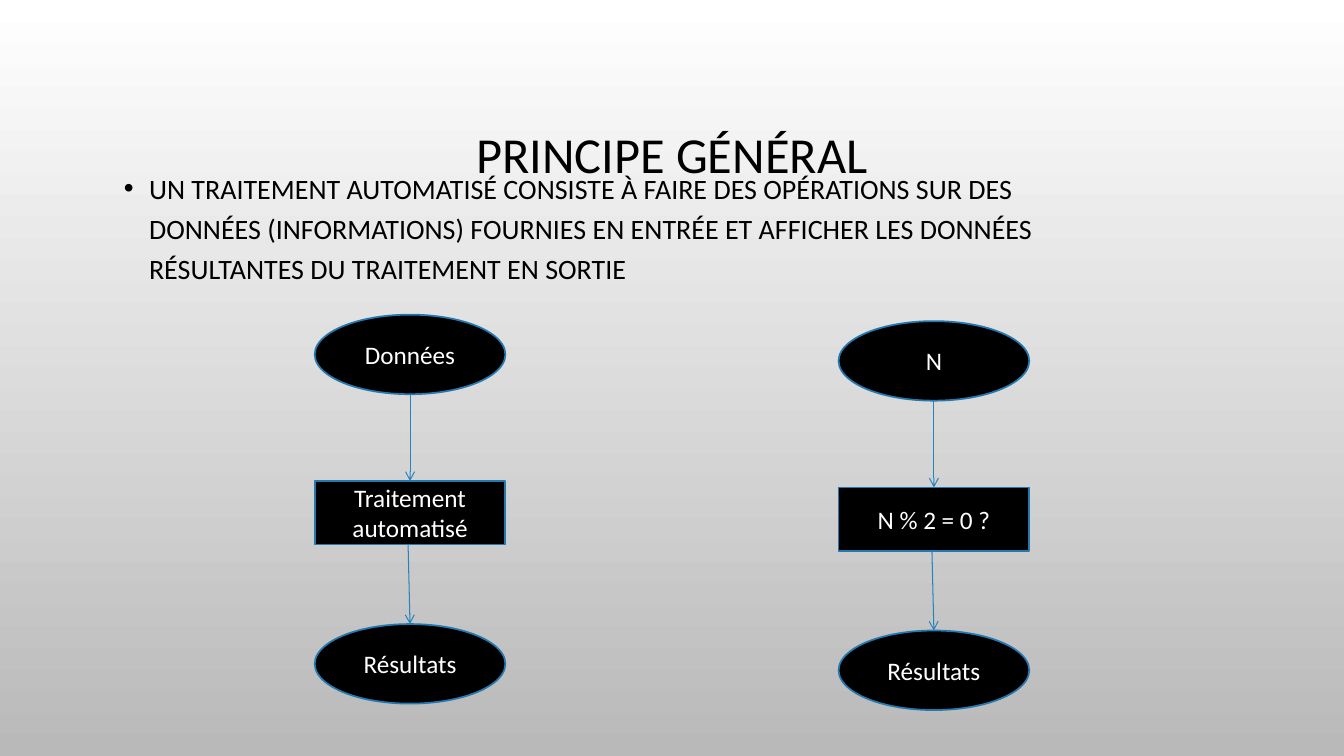
from dataclasses import dataclass

from lxml import etree
from pptx import Presentation
from pptx.dml.color import RGBColor
from pptx.enum.shapes import MSO_CONNECTOR, MSO_SHAPE
from pptx.enum.text import MSO_ANCHOR, PP_ALIGN
from pptx.oxml.ns import qn
from pptx.util import Pt

ELLIPSE, RECTANGLE = MSO_SHAPE.OVAL, MSO_SHAPE.RECTANGLE
STRAIGHT = MSO_CONNECTOR.STRAIGHT
MIDDLE, CENTER, LEFT = MSO_ANCHOR.MIDDLE, PP_ALIGN.CENTER, PP_ALIGN.LEFT
TOP_SITE = 0
TITLE_ONLY = 5

NODE_WIDTH = 136.2
OVAL_HEIGHT = 56.8
BOX_HEIGHT = 45.4
PROCESS_OFFSET = 118.8
RESULT_OFFSET = 221
OUTPUT_ARROW_SKEW = -1.4

PRINCIPLE = (
    "UN TRAITEMENT AUTOMATISÉ CONSISTE À FAIRE DES OPÉRATIONS SUR DES DONNÉES "
    "(INFORMATIONS) FOURNIES EN ENTRÉE ET AFFICHER LES DONNÉES RÉSULTANTES DU "
    "TRAITEMENT EN SORTIE"
)
FLOWS = [
    (224.8, 224.8, ("Données", "Traitement automatisé", "Résultats")),
    (599, 229.4, ("N", "N % 2 = 0 ?", "Résultats")),
]


@dataclass(frozen=True)
class Theme:
    """Colours, font and type sizes of the slide."""

    font: str = "Calibri"
    dark: RGBColor = RGBColor(0x00, 0x00, 0x00)
    light: RGBColor = RGBColor(0xFF, 0xFF, 0xFF)
    backdrop_end: RGBColor = RGBColor(0xB9, 0xB9, 0xB9)
    outline: RGBColor = RGBColor(0x23, 0x79, 0xB0)
    arrow: RGBColor = RGBColor(0x26, 0x83, 0xBF)
    title_size: int = 36
    body_size: int = 20
    node_size: int = 18


THEME = Theme()


def paint_background(slide):
    """Fill the slide with a gradient running from top to bottom."""
    fill = slide.background.fill
    fill.gradient()
    fill.gradient_angle = 270
    for stop, color in zip(fill.gradient_stops, (THEME.light, THEME.backdrop_end)):
        stop.color.rgb = color


def style_paragraph(paragraph, size, color, alignment):
    """Set the font and alignment of a paragraph."""
    paragraph.alignment = alignment
    paragraph.font.name = THEME.font
    paragraph.font.size = Pt(size)
    paragraph.font.color.rgb = color


def place_title(slide, text):
    """Position and format the title placeholder."""
    title = slide.shapes.title
    title.left, title.top, title.width, title.height = Pt(72), Pt(49), Pt(816), Pt(126)
    title.text_frame.text = text
    title.text_frame.vertical_anchor = MIDDLE
    heading = title.text_frame.paragraphs[0]
    heading.line_spacing = 0.9
    style_paragraph(heading, THEME.title_size, THEME.dark, CENTER)


def add_bullet(slide, text):
    """Add the bulleted statement below the title."""
    body = slide.shapes.add_textbox(Pt(81.4), Pt(113.8), Pt(723), Pt(409)).text_frame
    body.word_wrap = True
    statement = body.paragraphs[0]
    statement.text = text
    statement.line_spacing = 1.2
    statement.space_before = Pt(10)
    properties = statement._p.get_or_add_pPr()
    properties.set("marL", str(Pt(18)))
    properties.set("indent", str(-Pt(18)))
    etree.SubElement(properties, qn("a:buFont"), typeface="Arial")
    etree.SubElement(properties, qn("a:buChar"), char="•")
    style_paragraph(statement, THEME.body_size, THEME.dark, LEFT)


def add_node(slide, kind, left, top, height, label):
    """Add one labelled step of a flow."""
    node = slide.shapes.add_shape(kind, Pt(left), Pt(top), Pt(NODE_WIDTH), Pt(height))
    node.shadow.inherit = False
    node.fill.solid()
    node.fill.fore_color.rgb = THEME.dark
    node.line.color.rgb = THEME.outline
    node.line.width = Pt(1.25)
    node.text_frame.word_wrap = True
    node.text_frame.vertical_anchor = MIDDLE
    node.text_frame.text = label
    style_paragraph(node.text_frame.paragraphs[0], THEME.node_size, THEME.light, CENTER)
    return node


def add_arrow(slide, source, target, skew=0):
    """Add an arrow from the bottom of one step to the top of the next."""
    start_x = source.left + source.width // 2 + Pt(skew)
    start_y = source.top + source.height
    arrow = slide.shapes.add_connector(STRAIGHT, start_x, start_y, start_x, target.top)
    arrow.end_connect(target, TOP_SITE)
    arrow.line.color.rgb = THEME.arrow
    arrow.line.width = Pt(0.75)
    etree.SubElement(arrow.line._get_or_add_ln(), qn("a:tailEnd"), type="arrow")
    etree.SubElement(arrow._element.spPr, qn("a:effectLst"))


def add_flow(slide, left, top, labels):
    """Add an input, process and result chain."""
    source_label, process_label, result_label = labels
    source = add_node(slide, ELLIPSE, left, top, OVAL_HEIGHT, source_label)
    process = add_node(
        slide, RECTANGLE, left, top + PROCESS_OFFSET, BOX_HEIGHT, process_label
    )
    result = add_node(
        slide, ELLIPSE, left, top + RESULT_OFFSET, OVAL_HEIGHT, result_label
    )
    add_arrow(slide, source, process)
    add_arrow(slide, process, result, OUTPUT_ARROW_SKEW)


def main():
    """Build and save the slide."""
    deck = Presentation()
    deck.slide_width, deck.slide_height = Pt(960), Pt(540)
    slide = deck.slides.add_slide(deck.slide_layouts[TITLE_ONLY])
    paint_background(slide)
    place_title(slide, "PRINCIPE GÉNÉRAL")
    add_bullet(slide, PRINCIPLE)
    for left, top, labels in FLOWS:
        add_flow(slide, left, top, labels)
    deck.save("out.pptx")


if __name__ == "__main__":
    main()
